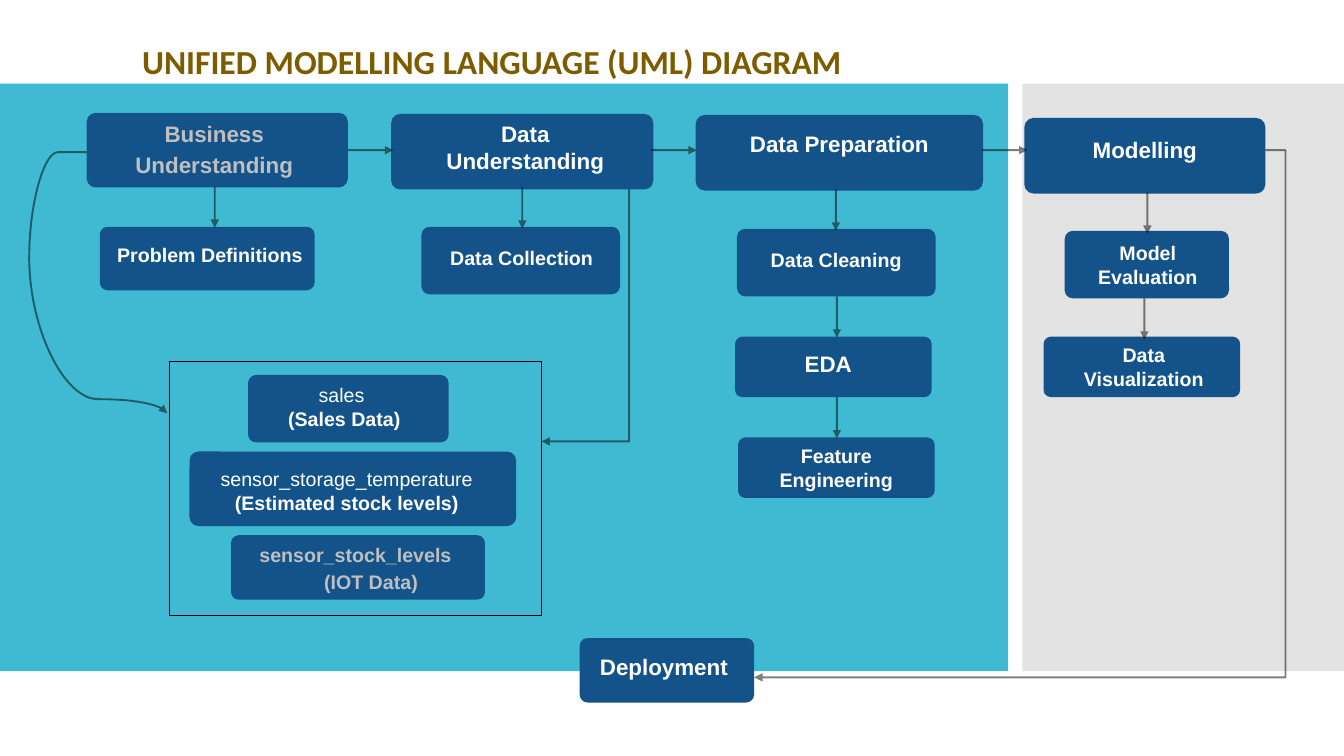
from math import cos, radians, sin
from lxml.etree import SubElement
from pptx import Presentation
from pptx.dml.color import RGBColor
from pptx.enum.shapes import MSO_CONNECTOR, MSO_SHAPE
from pptx.enum.text import MSO_ANCHOR, PP_ALIGN
from pptx.oxml.ns import qn
from pptx.util import Inches, Pt

NAVY, TEAL, GREY, BLACK = "13538A", "40BAD2", "C8C8C8", "000000"
WHITE, PALE, GOLD = "FFFFFF", "BFBFBF", "7D5C00"
LEFT, MID = PP_ALIGN.LEFT, PP_ALIGN.CENTER
CURVE, ELBOW = MSO_CONNECTOR.CURVE, MSO_CONNECTOR.ELBOW


def paint(fmt, hue, alpha=100):
    fmt.solid()
    fmt.fore_color.rgb = RGBColor.from_string(hue)
    if alpha < 100:
        node = fmt._xPr.find(qn("a:solidFill"))[0]
        SubElement(node, qn("a:alpha"), val=str(alpha * 1000))


def write(para, words, size=14, hue=WHITE, bold=True, align=MID, font="Arial", space=1.0):
    para.alignment = align
    para.line_spacing = space
    run = para.add_run()
    run.text = words
    run.font.size = Pt(size)
    run.font.bold = bold
    run.font.name = font
    paint(run.font.fill, hue)


def panel(slide, x, y, w, h, fill=None, alpha=100, line=None, kind=MSO_SHAPE.RECTANGLE):
    shape = slide.shapes.add_shape(kind, Inches(x), Inches(y), Inches(w), Inches(h))
    shape.shadow.inherit = False
    if fill:
        paint(shape.fill, fill, alpha)
    else:
        shape.fill.background()
    if line:
        paint(shape.line.fill, line)
        shape.line.width = Pt(0.75)
    else:
        shape.line.fill.background()
    return shape


def box(slide, x, y, w, h, words, wide=None, dx=0, dy=0, **fmt):
    shape = panel(slide, x, y, w, h, NAVY, kind=MSO_SHAPE.ROUNDED_RECTANGLE)
    shape.adjustments[0] = 0.12
    frame = shape.text_frame
    frame.word_wrap = True
    frame.vertical_anchor = MSO_ANCHOR.MIDDLE
    side = (w - (wide or w - 0.2)) / 2
    frame.margin_left = Inches(side + dx)
    frame.margin_right = Inches(side - dx)
    frame.margin_top = Inches(max(2 * dy, 0))
    frame.margin_bottom = Inches(max(-2 * dy, 0))
    write(frame.paragraphs[0], words, **fmt)
    return frame


def link(slide, start, end, kind=MSO_CONNECTOR.STRAIGHT, turn=0, bend=None, head=True):
    mid_x, mid_y = (start[0] + end[0]) / 2, (start[1] + end[1]) / 2
    c, s = cos(radians(turn)), sin(radians(turn))
    ends = []
    for x, y in (start, end):
        x, y = x - mid_x, y - mid_y
        ends += [Inches(mid_x + c * x + s * y), Inches(mid_y - s * x + c * y)]
    wire = slide.shapes.add_connector(kind, *ends)
    paint(wire.line.fill, BLACK, 50)
    wire.line.width = Pt(1.35)
    props = wire._element.spPr
    if turn:
        props.xfrm.set("rot", str(turn * 60000))
    if bend is not None:
        guides = props.prstGeom.get_or_add_avLst()
        SubElement(guides, qn("a:gd"), name="adj1", fmla=f"val {round(bend * 100000)}")
    if head:
        SubElement(props.find(qn("a:ln")), qn("a:tailEnd"), type="triangle")
    SubElement(props, qn("a:effectLst"))


def head(slide, words):
    title = slide.shapes.title
    title.left, title.top = Inches(1.31), Inches(0.2)
    title.width, title.height = Inches(8.43), Inches(0.66)
    title.text_frame.vertical_anchor = MSO_ANCHOR.BOTTOM
    write(title.text_frame.paragraphs[0], words, size=24, hue=GOLD,
          align=LEFT, font="Calibri", space=0.9)


def stages(slide):
    box(slide, 0.86, 1.12, 2.59, 0.74, "Business Understanding", 2.26, -0.03, -0.03,
        size=16, hue=PALE, space=1.15)
    box(slide, 3.88, 1.13, 2.6, 0.75, "Data Understanding", 1.82, 0.03, -0.05, size=16)
    box(slide, 6.9, 1.14, 2.85, 0.75, "Data Preparation", dy=-0.09, size=16)
    box(slide, 10.16, 1.17, 2.39, 0.75, "Modelling", dy=-0.06, size=16)
    box(slide, 5.75, 6.33, 1.73, 0.64, "Deployment", dx=-0.03, dy=-0.04, size=16)


def steps(slide):
    box(slide, 0.99, 2.25, 2.13, 0.63, "Problem Definitions", 1.95, 0.06, -0.04, align=LEFT)
    box(slide, 4.18, 2.25, 1.97, 0.67, "Data Collection", dx=0.01, dy=-0.03)
    box(slide, 7.31, 2.27, 1.97, 0.67, "Data Cleaning", dy=-0.03)
    box(slide, 7.29, 3.34, 1.95, 0.6, "EDA", dx=-0.05, dy=-0.03, size=16)
    box(slide, 7.32, 4.34, 1.95, 0.6, "Feature Engineering", 1.6)
    box(slide, 10.56, 2.29, 1.63, 0.67, "Model Evaluation", 1.15, 0.01)
    box(slide, 10.35, 3.34, 1.95, 0.6, "Data Visualization", 1.5, 0.02)


def store(slide):
    panel(slide, 1.68, 3.59, 3.69, 2.52, line=BLACK)
    sales = box(slide, 2.46, 3.72, 1.99, 0.67, "sales ", dx=-0.04, dy=-0.02, bold=False)
    write(sales.add_paragraph(), "(Sales Data)")
    temp = box(slide, 1.88, 4.48, 3.24, 0.74, "sensor_storage_temperature",
               dx=-0.06, dy=0.02, bold=False)
    write(temp.add_paragraph(), "(Estimated stock levels)")
    stock = box(slide, 2.29, 5.31, 2.52, 0.64, "sensor_stock_levels", 2.26, 0.13, -0.01,
                hue=PALE, align=LEFT, space=1.15)
    write(stock.add_paragraph(), "(IOT Data)", hue=PALE, space=1.15)


def links(slide):
    for x in (3.45, 6.46, 9.74):
        link(slide, (x, 1.49), (x + 0.45, 1.49))
    drops = [(2.13, 1.85), (5.18, 1.86), (8.29, 1.88), (11.38, 1.91),
             (8.3, 2.94), (8.3, 3.94), (11.35, 2.96)]
    for x, y in drops:
        link(slide, (x, y), (x, y + 0.41))
    link(slide, (0.86, 1.51), (0.29, 2.55), CURVE, 90, 0, head=False)
    link(slide, (0.29, 2.55), (1.66, 4.1), CURVE, 270, 0.91)
    link(slide, (6.24, 1.88), (5.37, 4.38), ELBOW, 90, 1)
    link(slide, (12.55, 1.49), (12.75, 1.49), head=False)
    link(slide, (12.75, 1.49), (7.48, 6.72), ELBOW, 180, 0)


def main():
    deck = Presentation()
    deck.slide_width, deck.slide_height = Inches(13.33), Inches(7.5)
    slide = deck.slides.add_slide(deck.slide_layouts[5])
    panel(slide, 0, 0.83, 10, 5.83, TEAL)
    panel(slide, 10.14, 0.83, 3.19, 5.83, GREY, 50)
    head(slide, "UNIFIED MODELLING LANGUAGE (UML) DIAGRAM")
    stages(slide)
    steps(slide)
    store(slide)
    links(slide)
    deck.save("out.pptx")


main()
